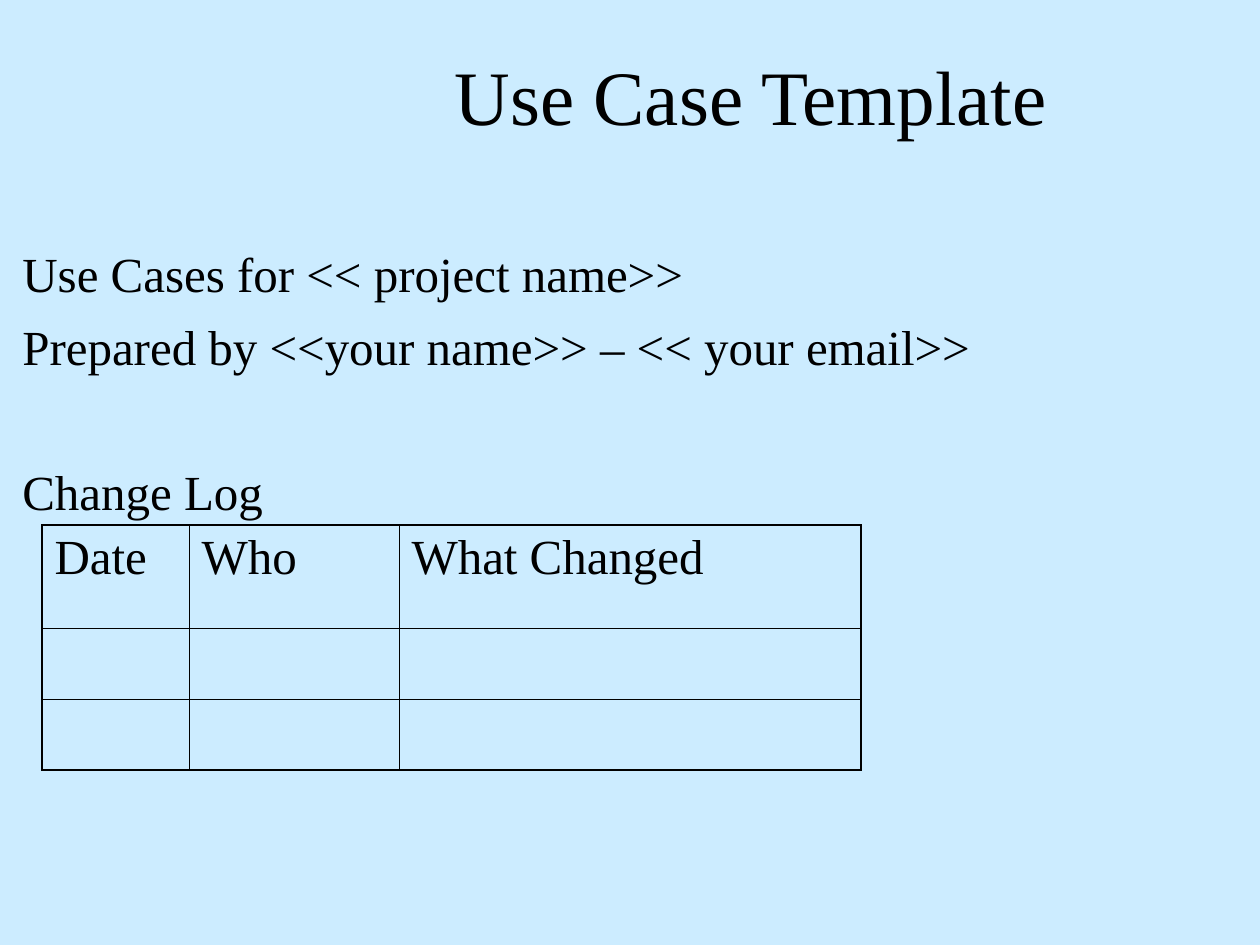
"""Builds the use case template slide with its change log table."""
from dataclasses import dataclass

from lxml.etree import SubElement as Sub
from pptx import Presentation as Deck
from pptx.dml.color import RGBColor as Color
from pptx.enum.text import MSO_ANCHOR as Anchor, MSO_AUTO_SIZE as Fit, PP_ALIGN as Align
from pptx.oxml.ns import qn
from pptx.util import Pt


@dataclass(frozen=True)
class Theme:
    font: str = "Times New Roman"
    ink: str = "000000"
    back: str = "CCECFF"
    title: int = 44
    body: int = 28
    thick: float = 1.08
    thin: float = 0.45


theme = Theme()
scale = 914400 / 126


def px(*vals):
    return [round(val * scale) for val in vals]


def write(para, text, size):
    run = para.add_run()
    run.text = text
    run.font.name = theme.font
    run.font.size = Pt(size)
    run.font.color.rgb = Color.from_string(theme.ink)


deck = Deck()
deck.slide_width, deck.slide_height = px(1260, 945)
slide = deck.slides.add_slide(deck.slide_layouts[5])
slide.background.fill.solid()
slide.background.fill.fore_color.rgb = Color.from_string(theme.back)

title = slide.shapes.title
title.left, title.top, title.width, title.height = px(242, 0, 1018, 189)
frame = title.text_frame
frame.auto_size = Fit.NONE
frame.vertical_anchor = Anchor.MIDDLE
frame.paragraphs[0].alignment = Align.CENTER
write(frame.paragraphs[0], "Use Case Template", theme.title)

box = slide.shapes.add_textbox(*px(10, 231, 1081, 598))
frame = box.text_frame
frame.word_wrap = True
frame.margin_top = px(12)[0]
lines = [
    ("Use Cases for << project name>>", 0),
    ("Prepared by <<your name>> – << your email>>", 8.4),
    ("Change Log", 49),
]
for num, (text, gap) in enumerate(lines):
    para = frame.add_paragraph() if num else frame.paragraphs[0]
    para.space_before = Pt(gap)
    write(para, text, theme.body)

heads = ["Date", "Who", "What Changed"]
cols = px(147, 210, 462)
rows = px(103, 71, 71)
left, top = px(42, 525)
table = slide.shapes.add_table(
    len(rows), len(cols), left, top, sum(cols), sum(rows)
).table
table.first_row = table.horz_banding = False
for col, width in zip(table.columns, cols):
    col.width = width
for row, height in zip(table.rows, rows):
    row.height = height

for y in range(len(rows)):
    for x in range(len(cols)):
        cell = table.cell(y, x)
        props = cell._tc.get_or_add_tcPr()
        edges = {
            "L": x == 0,
            "R": x == len(cols) - 1,
            "T": y == 0,
            "B": y == len(rows) - 1,
        }
        for side, outer in edges.items():
            width = Pt(theme.thick if outer else theme.thin)
            line = Sub(props, qn(f"a:ln{side}"), w=str(width))
            fill = Sub(line, qn("a:solidFill"))
            Sub(fill, qn("a:srgbClr"), val=theme.ink)
        cell.fill.background()
        if y == 0:
            write(cell.text_frame.paragraphs[0], heads[x], theme.body)

deck.save("out.pptx")
